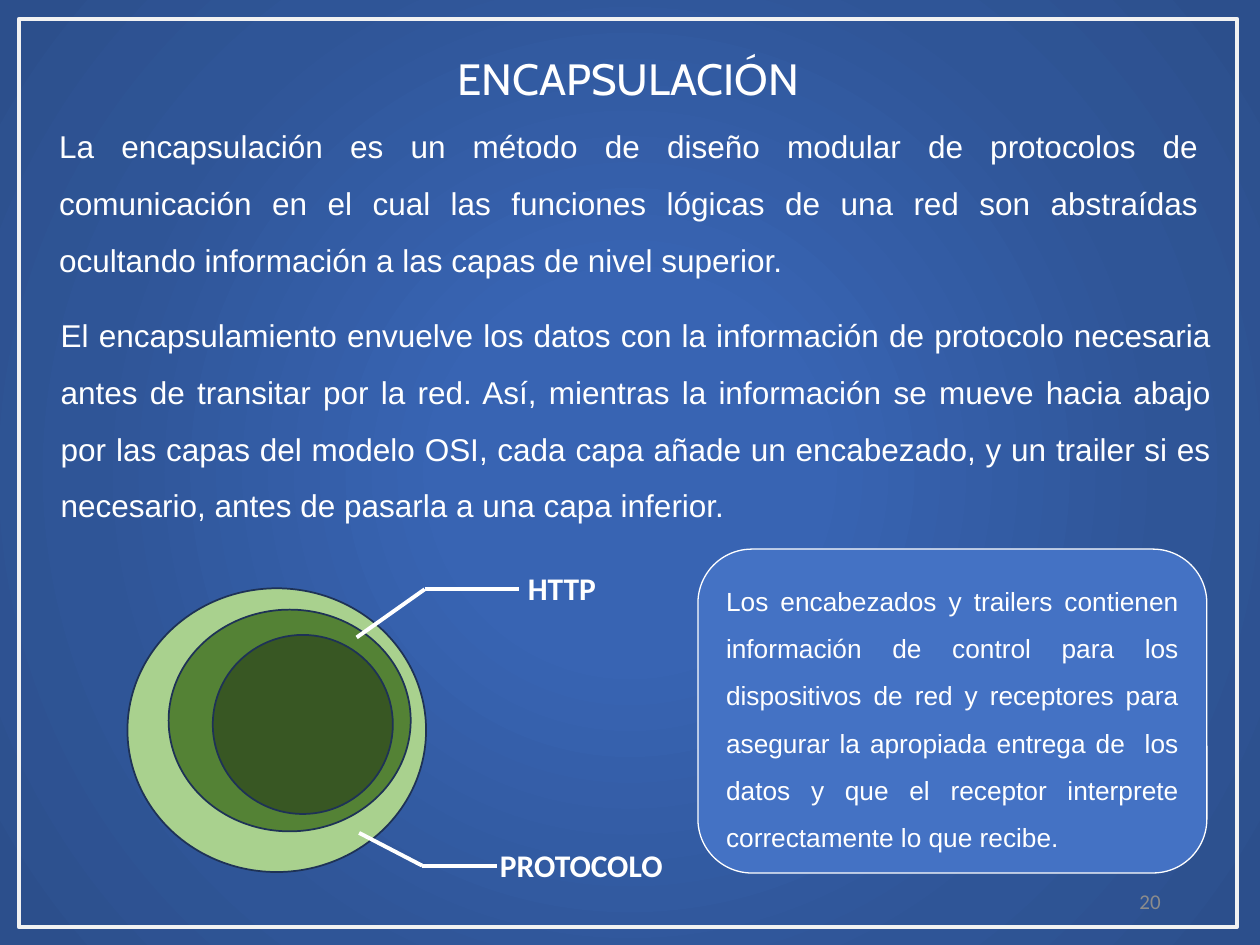
import pptx
import pptx.util
import pptx.dml.color
import pptx.enum.shapes
import pptx.enum.text
import pptx.oxml
import pptx.oxml.ns
from lxml import etree

Cm, Pt = pptx.util.Cm, pptx.util.Pt
SHAPE = pptx.enum.shapes.MSO_SHAPE
ALIGN = pptx.enum.text.PP_ALIGN
ANCHOR = pptx.enum.text.MSO_ANCHOR
qn = pptx.oxml.ns.qn

COLORS = {
    "white": "FFFFFF", "frame": "F2F2F2", "number": "8C8C8C",
    "note": "4472C4", "ring_line": "1E3256",
    "outer": "A9D18E", "middle": "548235", "inner": "385723",
}
BACKGROUND = [(0, "3864B3"), (23, "3864B3"), (69, "2F5597"), (97, "2C4F8C")]

DEFINITION = (
    "La encapsulación es un método de diseño modular de protocolos de "
    "comunicación en el cual las funciones lógicas de una red son abstraídas "
    "ocultando información a las capas de nivel superior. ")
PROCESS = (
    "El encapsulamiento envuelve los datos con la información de protocolo "
    "necesaria antes de transitar por la red. Así, mientras la información se "
    "mueve hacia abajo por las capas del modelo OSI, cada capa añade un "
    "encabezado, y un trailer si es necesario, antes de pasarla a una capa "
    "inferior.")
NOTE = (
    "Los encabezados y trailers contienen información de control para los "
    "dispositivos de red y receptores para asegurar la apropiada entrega de  "
    "los datos y que el receptor interprete correctamente lo que recibe.")


def rgb(name):
    return pptx.dml.color.RGBColor.from_string(COLORS[name])


def set_background(s):
    s.background.fill.gradient()
    grad = s.background._cSld.find(".//" + qn("a:gradFill"))
    for child in list(grad):
        grad.remove(child)
    stops = etree.SubElement(grad, qn("a:gsLst"))
    for pos, color in BACKGROUND:
        stop = etree.SubElement(stops, qn("a:gs"), pos=str(pos * 1000))
        etree.SubElement(stop, qn("a:srgbClr"), val=color)
    radial = etree.SubElement(grad, qn("a:path"), {"path": "circle"})
    etree.SubElement(radial, qn("a:fillToRect"),
                     {side: "50000" for side in "ltrb"})


def write(sp, text, size, font="Arial", color="white", bold=False,
          align=ALIGN.LEFT, spacing=1.0, anchor=ANCHOR.TOP):
    tf = sp.text_frame
    tf.word_wrap = True
    tf.auto_size = pptx.enum.text.MSO_AUTO_SIZE.NONE
    tf.vertical_anchor = anchor
    p = tf.paragraphs[0]
    p.alignment, p.line_spacing, p.space_before = align, spacing, Pt(0)
    r = p.add_run()
    r.text = text
    r.font.name, r.font.size, r.font.bold = font, Pt(size), bold
    r.font.color.rgb = rgb(color)


def place(sp, x, y, w, h):
    sp.left, sp.top, sp.width, sp.height = Cm(x), Cm(y), Cm(w), Cm(h)


def fill_body(sp, box, text):
    place(sp, *box)
    pPr = sp.text_frame.paragraphs[0]._p.get_or_add_pPr()
    pPr.set("marL", "0")
    pPr.set("indent", "0")
    etree.SubElement(pPr, qn("a:buNone"))
    write(sp, text, 18, align=ALIGN.JUSTIFY, spacing=1.5)


def add_shape(shapes, kind, box, fill, line, width):
    sp = shapes.add_shape(kind, *map(Cm, box))
    sp.shadow.inherit = False
    if fill:
        sp.fill.solid()
        sp.fill.fore_color.rgb = rgb(fill)
    else:
        sp.fill.background()
    sp.line.color.rgb = rgb(line)
    sp.line.width = Pt(width)
    return sp


def add_label(s, box, text, size, **style):
    write(s.shapes.add_textbox(*map(Cm, box)), text, size,
          font="Calibri", **style)


def add_leader(s, *points):
    for start, end in zip(points, points[1:]):
        line = s.shapes.add_connector(
            pptx.enum.shapes.MSO_CONNECTOR.STRAIGHT, *map(Cm, start + end))
        line.line.color.rgb = rgb("white")
        line.line.width = Pt(2.25)
        etree.SubElement(line._element.spPr, qn("a:effectLst"))


def main():
    prs = pptx.Presentation()
    prs.slide_width, prs.slide_height = Cm(25.4), Cm(19.05)
    s = prs.slides.add_slide(prs.slide_layouts.get_by_name("Two Content"))
    set_background(s)

    # Frame, title and body text
    add_shape(s.shapes, SHAPE.RECTANGLE, (0.38, 0.38, 24.56, 18.31),
              None, "frame", 2.25)
    title, definition, process = list(s.placeholders)[:3]
    place(title, -0.03, 0.91, 25.4, 1.32)
    write(title, "ENCAPSULACIÓN", 25, font="Cabin", align=ALIGN.CENTER)
    fill_body(definition, (0.94, 2.06, 23.47, 3.56), DEFINITION)
    fill_body(process, (0.97, 5.87, 23.7, 4.72), PROCESS)

    # Nested layers
    rings = s.shapes.add_group_shape()
    for color, box in (("outer", (2.57, 11.86, 6.02, 5.72)),
                       ("middle", (3.4, 12.29, 4.88, 4.47)),
                       ("inner", (4.29, 12.8, 3.63, 3.61))):
        add_shape(rings.shapes, SHAPE.OVAL, box, color, "ring_line", 1)

    # Layer names with their leader lines
    add_leader(s, (7.19, 12.85), (8.56, 11.88), (10.46, 11.88))
    add_leader(s, (7.24, 16.79), (8.51, 17.45), (10.01, 17.45))
    add_label(s, (10.39, 11.35, 2.41, 1.02), "HTTP", 18, bold=True)
    add_label(s, (9.83, 16.94, 3.84, 1.02), "PROTOCOLO", 18, bold=True)

    # Note on headers and trailers
    note = add_shape(s.shapes, SHAPE.ROUNDED_RECTANGLE,
                     (14.07, 11.07, 10.26, 6.53), "note", "white", 0.75)
    write(note, NOTE, 15, align=ALIGN.JUSTIFY, spacing=1.5,
          anchor=ANCHOR.MIDDLE)

    # Slide number
    add_label(s, (17.93, 17.65, 5.72, 1.02), "20", 12, color="number",
              align=ALIGN.RIGHT, anchor=ANCHOR.MIDDLE)

    prs.save("out.pptx")


if __name__ == "__main__":
    main()
